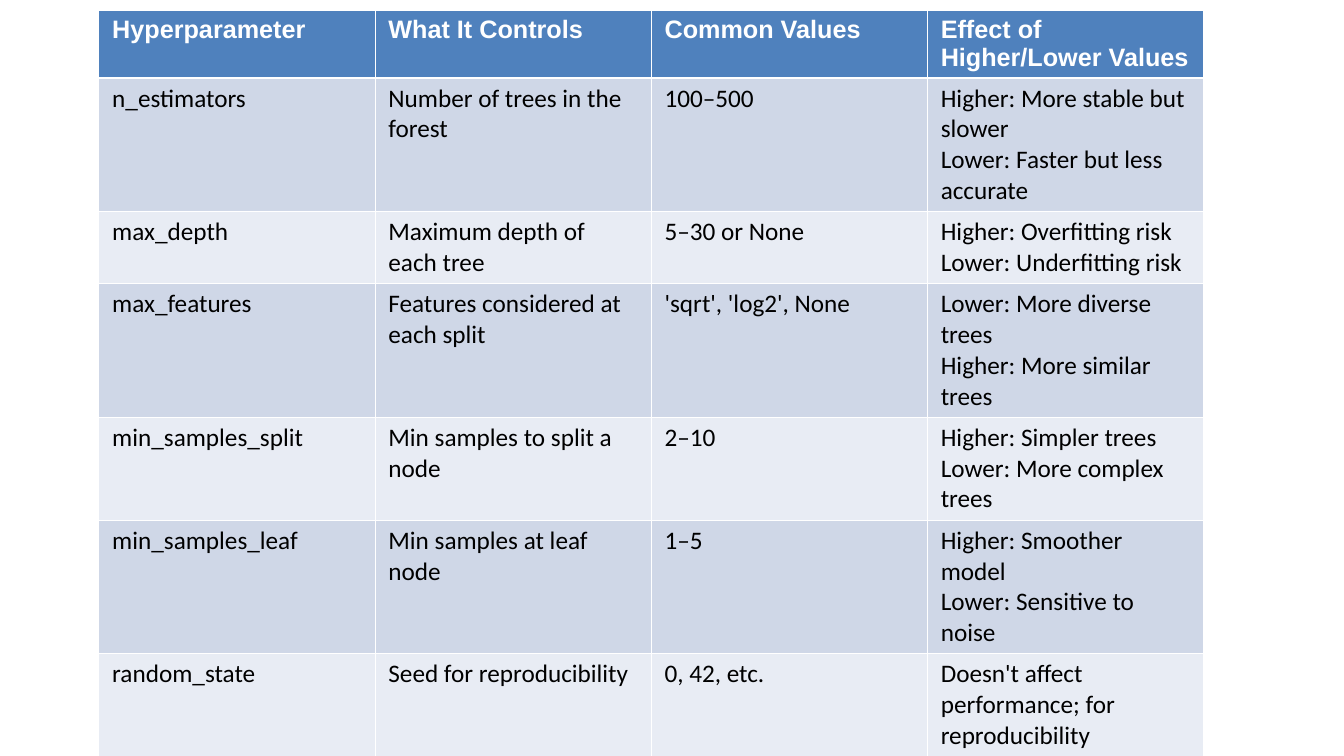
import pptx
import pptx.dml.color
import pptx.oxml
import pptx.oxml.ns
import pptx.util
from pptx.util import Inches, Pt

HEADERS = ["Hyperparameter", "What It Controls", "Common Values",
           "Effect of Higher/Lower Values"]
# Each line of an effect is its own paragraph.
HYPERPARAMETERS = [
    ("n_estimators", "Number of trees in the forest", "100–500",
     "Higher: More stable but slower\nLower: Faster but less accurate"),
    ("max_depth", "Maximum depth of each tree", "5–30 or None",
     "Higher: Overfitting risk\nLower: Underfitting risk"),
    ("max_features", "Features considered at each split", "'sqrt', 'log2', None",
     "Lower: More diverse trees\nHigher: More similar trees"),
    ("min_samples_split", "Min samples to split a node", "2–10",
     "Higher: Simpler trees\nLower: More complex trees"),
    ("min_samples_leaf", "Min samples at leaf node", "1–5",
     "Higher: Smoother model\nLower: Sensitive to noise"),
    ("random_state", "Seed for reproducibility", "0, 42, etc.",
     "Doesn't affect performance; for reproducibility"),
]
ROW_HEIGHTS = [1.01, 1.88, 1.01, 1.88, 1.45, 1.88, 1.45]
COLUMN_WIDTH = 4.11
LEFT, TOP = 1.47, 0.15
HEADER_FILL = "4F81BD"
BAND_FILLS = ["CFD7E7", "E8ECF4"]
WHITE, BLACK = "FFFFFF", "000000"


def rgb(value):
    return pptx.dml.color.RGBColor.from_string(value)


def add_borders(cell, bottom, top):
    """Draw white cell borders; bottom and top are widths in points."""
    properties = cell._tc.get_or_add_tcPr()
    widths = {"lnL": 1, "lnR": 1, "lnT": top, "lnB": bottom}
    for position, (side, width) in enumerate(widths.items()):
        border = pptx.oxml.parse_xml(
            f'<a:{side} {pptx.oxml.ns.nsdecls("a")} w="{Pt(width)}">'
            f'<a:solidFill><a:srgbClr val="{WHITE}"/></a:solidFill>'
            f'</a:{side}>')
        properties.insert(position, border)


def fill_cell(cell, content, fill, font_name, colour, bold):
    cell.margin_left = cell.margin_right = Inches(0.2)
    cell.margin_top = cell.margin_bottom = Inches(0.08)
    cell.fill.solid()
    cell.fill.fore_color.rgb = rgb(fill)
    frame = cell.text_frame
    for number, line in enumerate(content.split("\n")):
        paragraph = frame.add_paragraph() if number else frame.paragraphs[0]
        run = paragraph.add_run()
        run.text = line
        run.font.name = font_name
        run.font.size = Pt(27)
        run.font.bold = bold
        run.font.color.rgb = rgb(colour)


def main():
    deck = pptx.Presentation()
    deck.slide_width, deck.slide_height = Inches(20), Inches(11.25)
    slide = deck.slides.add_slide(deck.slide_layouts[6])
    rows = [HEADERS, *HYPERPARAMETERS]
    table = slide.shapes.add_table(
        len(rows), len(HEADERS), Inches(LEFT), Inches(TOP),
        Inches(COLUMN_WIDTH * len(HEADERS)), Inches(sum(ROW_HEIGHTS))).table
    for column in table.columns:
        column.width = Inches(COLUMN_WIDTH)

    for row, contents in enumerate(rows):
        table.rows[row].height = Inches(ROW_HEIGHTS[row])
        if row == 0:
            style = (HEADER_FILL, "Arial", WHITE, True)
        else:
            style = (BAND_FILLS[(row - 1) % 2], "Calibri", BLACK, False)
        for column, content in enumerate(contents):
            cell = table.cell(row, column)
            fill_cell(cell, content, *style)
            add_borders(cell, bottom=3 if row == 0 else 1,
                        top=3 if row == 1 else 1)

    deck.save("out.pptx")


if __name__ == "__main__":
    main()
